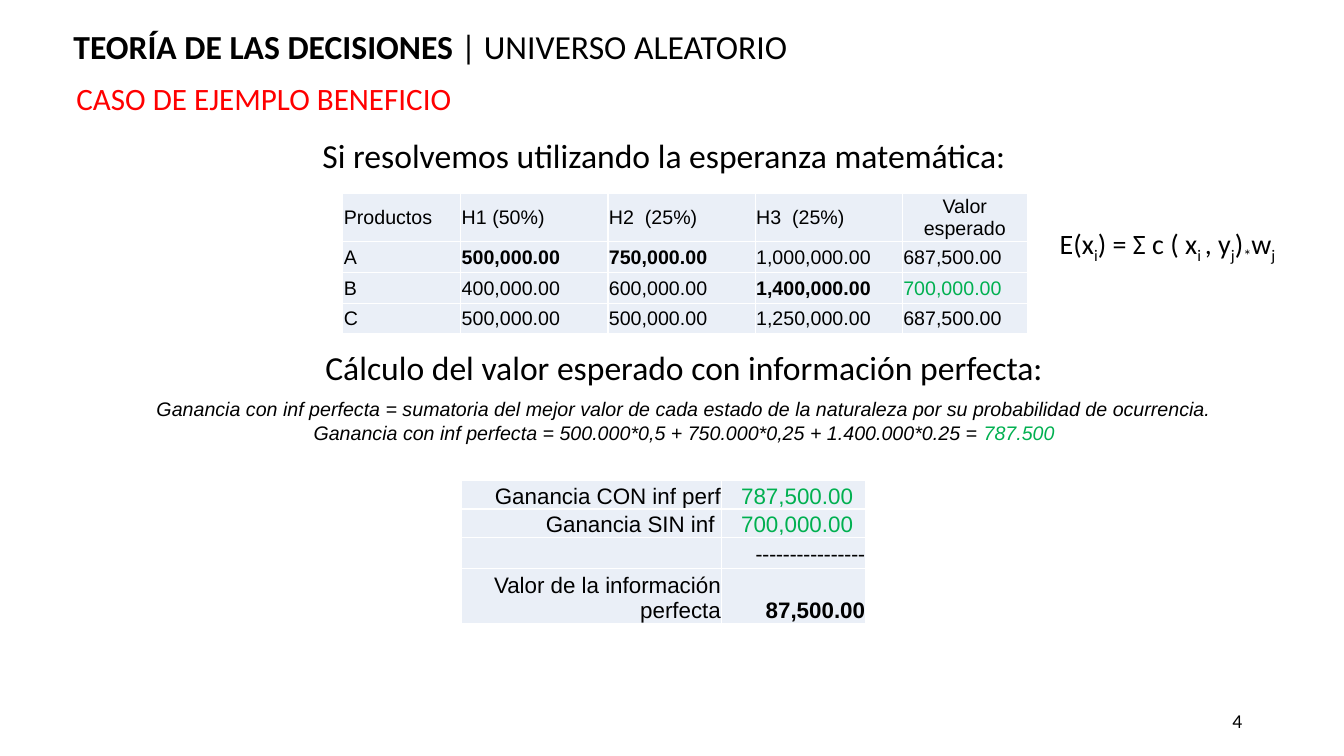
from lxml.etree import SubElement
from pptx import Presentation
from pptx.dml.color import RGBColor
from pptx.enum.shapes import MSO_SHAPE
from pptx.enum.text import MSO_ANCHOR, PP_ALIGN
from pptx.oxml.ns import qn
from pptx.util import Inches, Pt

THEME = {
    "black": "000000", "red": "FF0000", "green": "00B050",
    "white": "FFFFFF", "cell": "EAEFF7",
    "head": 24, "case": 22.2, "formula": 20, "sum": 16, "body": 14,
    "sans": "Calibri", "arial": "Arial",
}
LEFT, MID, RIGHT = PP_ALIGN.LEFT, PP_ALIGN.CENTER, PP_ALIGN.RIGHT
TOP, CENTRE, BASE = MSO_ANCHOR.TOP, MSO_ANCHOR.MIDDLE, MSO_ANCHOR.BOTTOM
BOLD, GREEN, SUB = {"bold": True}, {"color": "green"}, {"sub": True}

# Each paragraph is a list of (text, style) runs.
TEXTS = [
    {"at": (9.42, 6.95, 3, 0.4), "size": "body", "align": RIGHT,
     "anchor": CENTRE, "lines": [[("4", {})]]},
    {"at": (2.57, 1.29, 8.03, 0.5), "size": "head", "align": MID,
     "lines": [[("Si resolvemos utilizando la esperanza matemática:", {})]]},
    {"at": (0.63, 0.29, 9.39, 0.42), "size": "head", "anchor": BASE,
     "spacing": 0.9,
     "lines": [[("TEORÍA DE LAS DECISIONES ", BOLD),
                ("| UNIVERSO ALEATORIO", {})]]},
    {"at": (0.66, 0.7, 5.69, 0.53), "size": "case", "spacing": 1.1,
     "lines": [[("CASO DE EJEMPLO BENEFICIO", {"color": "red"})]]},
    {"at": (2.77, 3.39, 8.03, 0.5), "size": "head", "align": MID,
     "lines": [[("Cálculo del valor esperado con información perfecta:", {})]]},
    {"at": (0.92, 3.89, 11.73, 0.57), "size": "body", "align": MID,
     "base": {"font": "arial", "italic": True},
     "lines": [
         [("Ganancia con inf perfecta = sumatoria del mejor valor de cada "
           "estado de la naturaleza por su probabilidad de ocurrencia.", {})],
         [("Ganancia con inf perfecta = 500.000*0,5 + 750.000*0,25 + "
           "1.400.000*0.25 = ", {}), ("787.500", GREEN)]]},
]
FORMULA = {
    "at": (10.2, 2.2, 2.76, 0.55), "size": "formula", "align": MID,
    "lines": [[("E(x", {}), ("i", SUB), (") = Σ c ( x", {}), ("i ", SUB),
               (", y", {}), ("j", SUB), (")", {}), ("*", SUB),
               ("w", {}), ("j", SUB)]],
}
PAYOFF = {
    "at": (3.4, 1.92), "cols": [1.17, 1.46, 1.46, 1.46, 1.24],
    "rows": [0.36, 0.31, 0.3, 0.3], "size": "body",
    "align": LEFT, "anchor": CENTRE,
    "cells": [
        ["Productos", "H1 (50%)", "H2  (25%)", "H3  (25%)", "Valor esperado"],
        ["A", "500,000.00", "750,000.00", "1,000,000.00", "687,500.00"],
        ["B", "400,000.00", "600,000.00", "1,400,000.00", "700,000.00"],
        ["C", "500,000.00", "500,000.00", "1,250,000.00", "687,500.00"]],
    "styles": {(0, 4): {"align": MID}, (1, 1): BOLD, (1, 2): BOLD,
               (2, 3): BOLD, (2, 4): GREEN},
}
PERFECT = {
    "at": (4.58, 4.77), "cols": [2.58, 1.43],
    "rows": [0.28, 0.28, 0.28, 0.54], "size": "sum",
    "align": RIGHT, "anchor": BASE,
    "cells": [
        ["Ganancia CON inf perf", "787,500.00"],
        ["Ganancia SIN inf ", "700,000.00"],
        ["", "----------------"],
        ["Valor de la información perfecta", "87,500.00"]],
    "styles": {(0, 1): {"color": "green", "pad": 0.13},
               (1, 1): {"color": "green", "pad": 0.13},
               (2, 1): {"font": "sans"}, (3, 1): BOLD},
}


def tint(name):
    return RGBColor.from_string(THEME[name])


def assign(item, values):
    for name, value in values.items():
        setattr(item, name, value)


def add_run(para, text, style, size):
    run = para.add_run()
    run.text = text
    assign(run.font, {
        "name": THEME[style.get("font", "sans")], "size": Pt(THEME[size]),
        "bold": style.get("bold", False), "italic": style.get("italic", False)})
    run.font.color.rgb = tint(style.get("color", "black"))
    if style.get("sub"):
        run._r.get_or_add_rPr().set("baseline", "-25000")


def write(frame, block):
    assign(frame, {"word_wrap": True,
                   "vertical_anchor": block.get("anchor", TOP)})
    for i, line in enumerate(block["lines"]):
        para = frame.add_paragraph() if i else frame.paragraphs[0]
        assign(para, {"alignment": block.get("align", LEFT),
                      "line_spacing": block.get("spacing", 1.0)})
        for text, style in line:
            add_run(para, text, {**block.get("base", {}), **style},
                    block["size"])


def add_edges(cell):
    """Draw a white one-point line on each side of the cell."""
    props = cell._tc.get_or_add_tcPr()
    for spot, side in enumerate(("lnL", "lnR", "lnT", "lnB")):
        line = SubElement(props, qn("a:" + side), w=str(Pt(1)))
        fill = SubElement(line, qn("a:solidFill"))
        SubElement(fill, qn("a:srgbClr"), val=THEME["white"])
        props.insert(spot, line)


def add_grid(slide, grid):
    cols, rows = grid["cols"], grid["rows"]
    box = [Inches(n) for n in (*grid["at"], sum(cols), sum(rows))]
    table = slide.shapes.add_table(len(rows), len(cols), *box).table
    assign(table, {"first_row": False, "horz_banding": False})
    for col, width in zip(table.columns, cols):
        col.width = Inches(width)
    for r, texts in enumerate(grid["cells"]):
        table.rows[r].height = Inches(rows[r])
        for c, text in enumerate(texts):
            cell = table.cell(r, c)
            style = {"font": "arial", **grid["styles"].get((r, c), {})}
            assign(cell, {
                "margin_left": Inches(0.01), "margin_top": Inches(0.01),
                "margin_right": Inches(style.get("pad", 0.01)),
                "margin_bottom": 0, "vertical_anchor": grid["anchor"]})
            cell.fill.solid()
            cell.fill.fore_color.rgb = tint("cell")
            add_edges(cell)
            para = cell.text_frame.paragraphs[0]
            para.alignment = style.get("align", grid["align"])
            add_run(para, text, style, grid["size"])


def main():
    deck = Presentation()
    assign(deck, {"slide_width": Inches(13.33), "slide_height": Inches(7.5)})
    slide = deck.slides.add_slide(deck.slide_layouts[6])
    panel = slide.shapes.add_shape(
        MSO_SHAPE.RECTANGLE, *[Inches(n) for n in FORMULA["at"]])
    panel.shadow.inherit = False
    panel.fill.solid()
    panel.fill.fore_color.rgb = tint("white")
    panel.line.fill.background()
    write(panel.text_frame, FORMULA)
    for block in TEXTS:
        box = slide.shapes.add_textbox(*[Inches(n) for n in block["at"]])
        write(box.text_frame, block)
    for grid in (PAYOFF, PERFECT):
        add_grid(slide, grid)
    deck.save("out.pptx")


if __name__ == "__main__":
    main()
